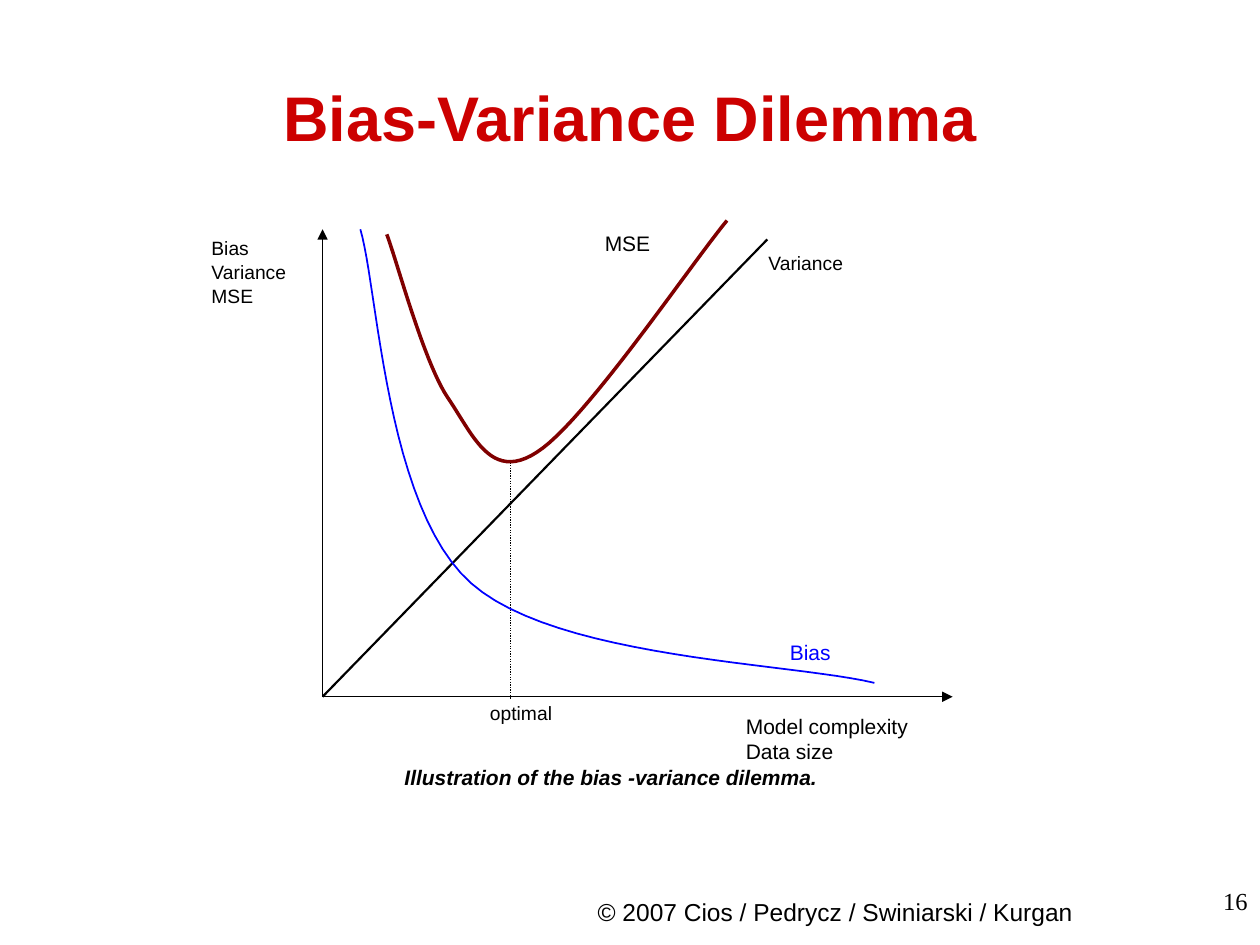
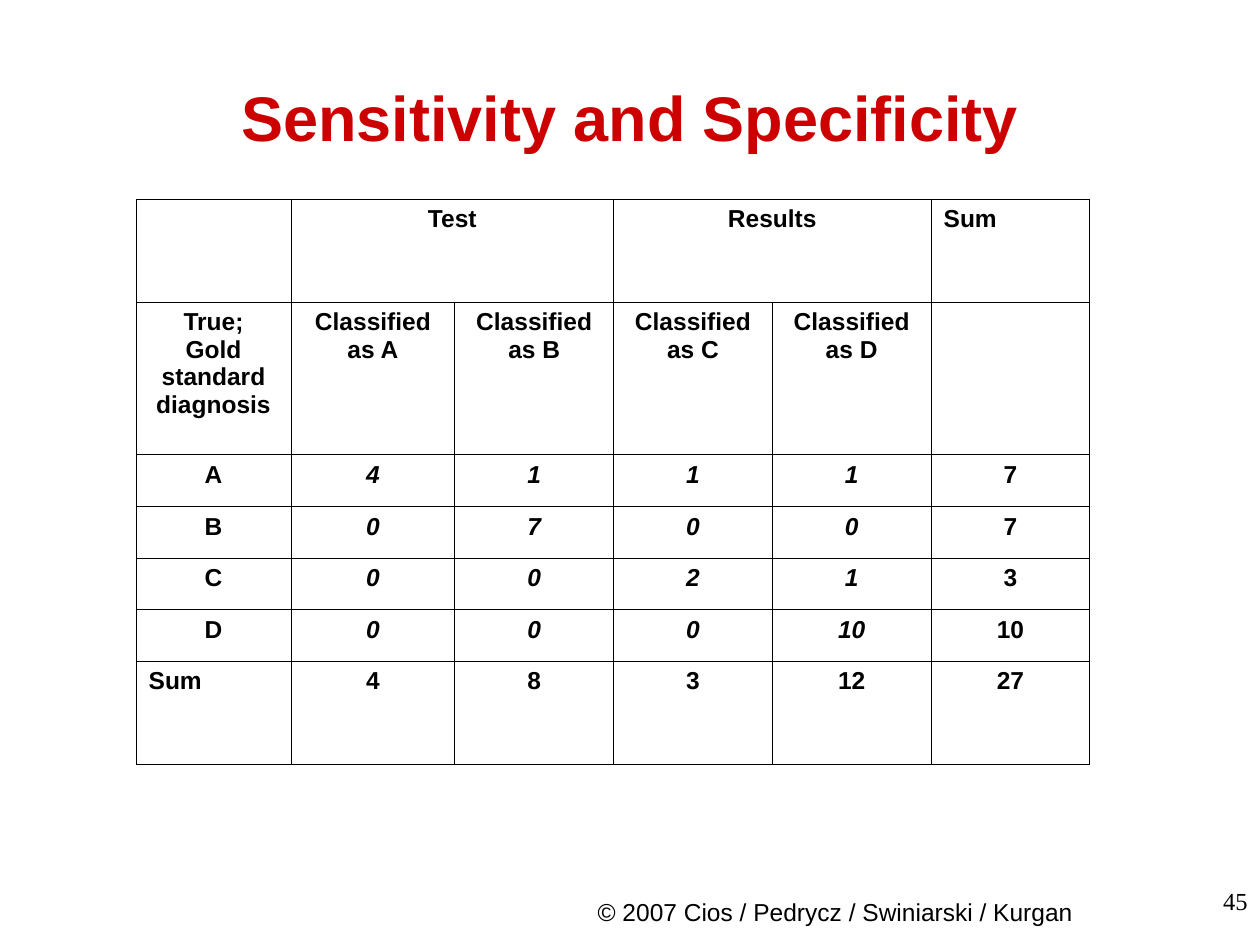
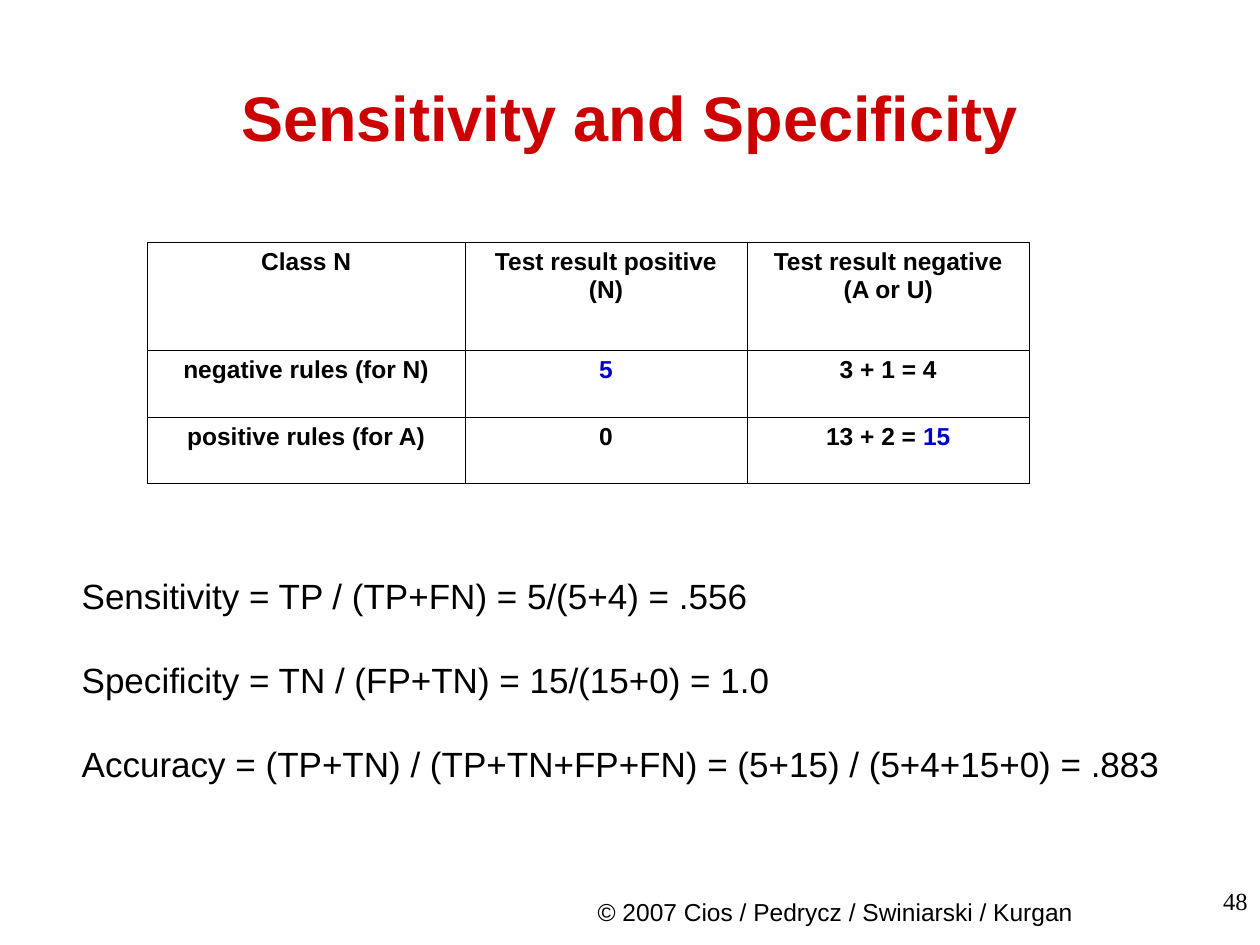
import pptx
import pptx.dml.color
import pptx.enum.dml
import pptx.enum.shapes
import pptx.enum.text
import pptx.oxml
import pptx.oxml.ns
import pptx.util

COLOURS = {"title": "CC0000", "text": "000000", "paper": "FFFFFF",
           "bias": "0000FF", "mse": "800000", "hit": "0000CC"}
RGB = {name: pptx.dml.color.RGBColor.from_string(code) for name, code in COLOURS.items()}
ALIGN = pptx.enum.text.PP_ALIGN
ANCHOR = pptx.enum.text.MSO_ANCHOR
NAMESPACE = pptx.oxml.ns.nsdecls("a")

deck = pptx.Presentation()
deck.slide_width = pptx.util.Inches(10)
deck.slide_height = pptx.util.Inches(7.5)

# The page is a grid of 10 columns by 7.5 rows
COLUMN = deck.slide_width / 10
ROW = deck.slide_height / 7.5


def grid(x, y, *size):
    """Turn columns and rows into slide lengths."""
    units = (COLUMN, ROW, COLUMN, ROW)
    return [round(value * unit) for value, unit in zip((x, y, *size), units)]


def write(frame, lines, size, align=ALIGN.LEFT, colour="text", bold=False,
          italic=False, font="Arial", gap=0, spacing=1.0):
    """Put one paragraph per line into a text frame."""
    frame.word_wrap = True
    for index, line in enumerate(lines):
        para = frame.paragraphs[0] if index == 0 else frame.add_paragraph()
        para.text = line
        para.alignment = align
        para.line_spacing = spacing
        if index:
            para.space_before = pptx.util.Pt(gap)
        para.font.name = font
        para.font.size = pptx.util.Pt(size)
        para.font.bold = bold
        para.font.italic = italic
        para.font.color.rgb = RGB[colour]


# Shared title, copyright line and page number
pages = []
for title, number in [("Bias-Variance Dilemma", "16"),
                      ("Sensitivity and Specificity", "45"),
                      ("Sensitivity and Specificity", "48")]:
    page = deck.slides.add_slide(deck.slide_layouts[6])
    pages.append(page)
    footer = page.shapes.add_textbox(*grid(3.42, 6.83, 6.42, 0.52)).text_frame
    footer.vertical_anchor = ANCHOR.BOTTOM
    footer.margin_bottom = 0
    write(footer, ["© 2007 Cios / Pedrycz / Swiniarski / Kurgan"], 14, ALIGN.CENTER)
    corner = page.shapes.add_textbox(*grid(7.67, 6.98, 2.33, 0.52)).text_frame
    write(corner, [number], 14, ALIGN.RIGHT, font="Times New Roman")
    heading = page.shapes.add_textbox(*grid(0.5, 0.3, 9, 1.25)).text_frame
    heading.vertical_anchor = ANCHOR.MIDDLE
    write(heading, [title], 36, ALIGN.CENTER, "title", bold=True)

dilemma, confusion, rules = pages

# Axes, variance line and optimum marker
origin = (2.56, 5.53)
for start, end, width, arrow, dotted in [
        (origin, (2.56, 1.82), 0.75, True, False),
        (origin, (7.56, 5.53), 0.75, True, False),
        (origin, (6.09, 1.9), 1.25, False, False),
        ((4.05, 3.65), (4.05, 5.55), 0.75, False, True)]:
    line = dilemma.shapes.add_connector(
        pptx.enum.shapes.MSO_CONNECTOR.STRAIGHT, *grid(*start), *grid(*end))
    line.line.color.rgb = RGB["text"]
    line.line.width = pptx.util.Pt(width)
    if dotted:
        line.line.dash_style = pptx.enum.dml.MSO_LINE.ROUND_DOT
    properties = line._element.spPr
    if arrow:
        properties.find(pptx.oxml.ns.qn("a:ln")).append(
            pptx.oxml.parse_xml(f'<a:tailEnd {NAMESPACE} type="triangle"/>'))
    properties.append(pptx.oxml.parse_xml(f"<a:effectLst {NAMESPACE}/>"))

# Bias and MSE curves: chained cubic Bézier arcs, sampled evenly
STEPS = 24
for colour, width, knots in [
        ("bias", 1, [(2.86, 1.82), (3, 2.29), (3.06, 4.03), (3.74, 4.63),
                     (4.42, 5.23), (6.27, 5.26), (6.94, 5.42)]),
        ("mse", 2, [(3.07, 1.86), (3.15, 2.07), (3.36, 2.86), (3.55, 3.15),
                    (3.75, 3.44), (3.89, 3.83), (4.26, 3.59),
                    (4.63, 3.36), (5.46, 2.13), (5.77, 1.75)])]:
    points = []
    for first in range(0, len(knots) - 1, 3):
        arc = knots[first:first + 4]
        for step in range(1, STEPS + 1):
            t = step / STEPS
            weights = ((1 - t) ** 3, 3 * t * (1 - t) ** 2, 3 * t ** 2 * (1 - t), t ** 3)
            points.append(grid(*(sum(weight * knot[axis] for weight, knot in zip(weights, arc))
                                 for axis in (0, 1))))
    builder = dilemma.shapes.build_freeform(*grid(*knots[0]))
    builder.add_line_segments(points, close=False)
    curve = builder.convert_to_shape()
    curve.shadow.inherit = False
    curve.fill.background()
    curve.line.color.rgb = RGB[colour]
    curve.line.width = pptx.util.Pt(width)

# White plates for the curve name and the caption, behind the labels
for at, text, strong, inset in [
        ((4.64, 1.83, 0.68, 0.24), "MSE", False, 0),
        ((2.43, 6.02, 4.84, 0.47), "Illustration of the bias -variance dilemma.", True, 0.05)]:
    plate = dilemma.shapes.add_shape(pptx.enum.shapes.MSO_SHAPE.RECTANGLE, *grid(*at))
    plate.shadow.inherit = False
    plate.fill.solid()
    plate.fill.fore_color.rgb = RGB["paper"]
    plate.line.fill.background()
    frame = plate.text_frame
    frame.vertical_anchor = ANCHOR.TOP
    frame.margin_top = frame.margin_bottom = pptx.util.Inches(inset)
    frame.margin_left = frame.margin_right = pptx.util.Inches(2 * inset)
    write(frame, [text], 12, ALIGN.CENTER, bold=strong, italic=strong)

# Labels of the diagram
small = {"size": 11, "spacing": 1.04}
for at, lines, look, inset in [
        ((1.58, 1.82, 0.97, 0.86), ["Bias Variance MSE"], small, True),
        ((5.92, 5.66, 1.67, 0.6), ["Model complexity", "Data size"], {"size": 12}, False),
        ((3.79, 5.51, 0.83, 0.43), ["optimal"], small, True),
        ((6.17, 5.03, 0.83, 0.43), ["Bias"], {"size": 12, "colour": "bias"}, True),
        ((6, 1.94, 0.97, 0.43), ["Variance"], small, True)]:
    frame = dilemma.shapes.add_textbox(*grid(*at)).text_frame
    if not inset:
        frame.margin_left = frame.margin_right = frame.margin_top = frame.margin_bottom = 0
    write(frame, lines, **look)

# Both tables; a line break in a cell starts a new paragraph
confusion_rows = [
    ["", "Test", "", "Results", "", "Sum"],
    ["True;\nGold standard diagnosis", *(f"Classified as {name}" for name in "ABCD"), ""],
    ["A", "4", "1", "1", "1", "7"],
    ["B", "0", "7", "0", "0", "7"],
    ["C", "0", "0", "2", "1", "3"],
    ["D", "0", "0", "0", "10", "10"],
    ["Sum", "4", "8", "3", "12", "27"]]
rule_rows = [
    ["Class N", "Test result positive (N)", "Test result negative\n(A or U)"],
    ["negative rules (for N)", "5", "3 + 1 = 4"],
    ["positive rules (for A)", "0", "13 + 2 = "]]
tables = []
for page, left, top, widths, heights, rows in [
        (confusion, 1.08, 1.58, [1.23, 1.3] + [1.26] * 4,
         [0.82, 1.21] + [0.41] * 4 + [0.82], confusion_rows),
        (rules, 1.17, 1.92, [2.52, 2.24, 2.24], [0.86, 0.53, 0.53], rule_rows)]:
    table = page.shapes.add_table(len(rows), len(widths), *grid(
        left, top, sum(widths), sum(heights))).table
    tables.append(table)
    table.first_row = table.horz_banding = False
    for column, width in zip(table.columns, widths):
        column.width = round(width * COLUMN)
    for row, height in zip(table.rows, heights):
        row.height = round(height * ROW)
    for r, texts in enumerate(rows):
        for c, text in enumerate(texts):
            cell = table.cell(r, c)
            for side in "LRTB":
                cell._tc.get_or_add_tcPr().append(pptx.oxml.parse_xml(
                    f'<a:ln{side} {NAMESPACE} w="{pptx.util.Pt(0.45)}"><a:solidFill>'
                    f'<a:srgbClr val="{COLOURS["text"]}"/></a:solidFill></a:ln{side}>'))
            cell.fill.background()
            if text:
                counts = page is confusion and 2 <= r <= 5 and 1 <= c <= 4
                write(cell.text_frame, text.split("\n"), 14,
                      ALIGN.LEFT if text == "Sum" else ALIGN.CENTER,
                      bold=True, italic=counts)

confusion_table, rule_table = tables
for first in (1, 3):
    confusion_table.cell(0, first).merge(confusion_table.cell(0, first + 1))

# Correctly classified counts stand out in blue
true_positive = rule_table.cell(1, 1).text_frame.paragraphs[0].runs[0]
true_negative = rule_table.cell(2, 2).text_frame.paragraphs[0].add_run()
true_negative.text = "15"
for span in (true_positive, true_negative):
    span.font.color.rgb = RGB["hit"]

# Formulas below the rule table
formulas = rules.shapes.add_textbox(*grid(0.55, 4.51, 8.84, 1.77)).text_frame
write(formulas, ["Sensitivity = TP / (TP+FN) = 5/(5+4) = .556",
                 "Specificity = TN / (FP+TN) = 15/(15+0) = 1.0",
                 "Accuracy = (TP+TN) / (TP+TN+FP+FN) = (5+15) / (5+4+15+0) = .883"],
      20, gap=24)
formulas.word_wrap = False

deck.save("out.pptx")
